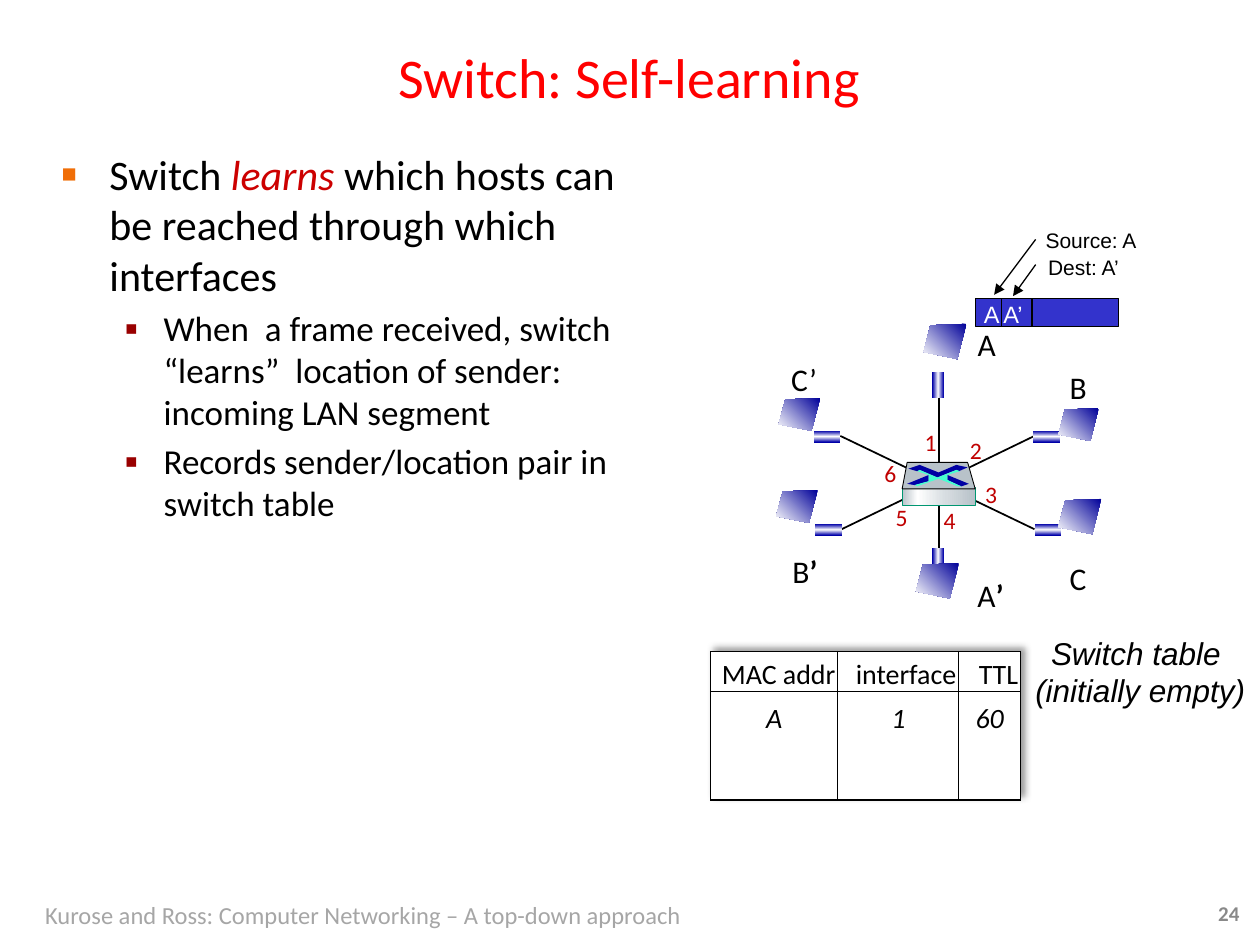
"""Build the slide on how a switch learns, on a grid of 10 columns and 7.5 rows."""
import pptx
import pptx.dml.color
import pptx.enum.shapes
import pptx.enum.text
import pptx.oxml
import pptx.oxml.ns
import pptx.util

RGB = pptx.dml.color.RGBColor
BLACK, WHITE = RGB(0, 0, 0), RGB(255, 255, 255)
RED, CRIMSON, BRICK = RGB(255, 0, 0), RGB(204, 0, 0), RGB(192, 0, 0)
ORANGE, MAROON = RGB(240, 110, 7), RGB(153, 0, 0)
GRAY, SILVER = RGB(137, 137, 137), RGB(166, 166, 166)
NAVY, COBALT, INK = RGB(0, 0, 153), RGB(0, 0, 168), RGB(0, 0, 163)
BLUE, STEEL, PALE = RGB(51, 51, 204), RGB(184, 194, 201), RGB(214, 220, 224)
AQUA, TEAL = RGB(71, 255, 209), RGB(0, 151, 113)
ALIGN = pptx.enum.text.PP_ALIGN
ANCHOR = pptx.enum.text.MSO_ANCHOR
RECT = pptx.enum.shapes.MSO_SHAPE.RECTANGLE
LINE = pptx.enum.shapes.MSO_CONNECTOR.STRAIGHT
GRID = pptx.util.Inches(1)
PLUG = [(0, COBALT), (50, WHITE), (99, COBALT)]
GLOW = [(0, NAVY), (100, WHITE)]
METAL = [(0, STEEL), (21, WHITE), (60, PALE), (100, STEEL)]


def grid(*nums):
    return [int(n * GRID) for n in nums]


def node(tag, attrs="", inner=""):
    ns = pptx.oxml.ns.nsdecls("a")
    return pptx.oxml.parse_xml(f"<a:{tag} {ns} {attrs}>{inner}</a:{tag}>")


def tint(color, inner=""):
    return f'<a:srgbClr val="{color}">{inner}</a:srgbClr>'


def add_run(para, text, size, color=BLACK, **form):
    run = para.add_run()
    run.text = text
    form = {"name": "Calibri", "size": pptx.util.Pt(size), **form}
    for key, value in form.items():
        setattr(run.font, key, value)
    run.font.color.rgb = color


def add_text(slide, box, text, size, color=BLACK, **form):
    frame = slide.shapes.add_textbox(*grid(*box)).text_frame
    frame.word_wrap = False
    add_run(frame.paragraphs[0], text, size, color, **form)
    return frame


def paint(shape, fill, line=None, width=0.75, angle=0):
    shape.shadow.inherit = False
    if isinstance(fill, list):
        stops = "".join(f'<a:gs pos="{pos * 1000}">{tint(color)}</a:gs>' for pos, color in fill)
        shape.fill.gradient()
        old = shape.fill._xPr.find(pptx.oxml.ns.qn("a:gradFill"))
        new = node("gradFill", 'rotWithShape="1"',
                   f'<a:gsLst>{stops}</a:gsLst><a:lin ang="{angle * 60000}" scaled="0"/>')
        old.getparent().replace(old, new)
    else:
        shape.fill.solid()
        shape.fill.fore_color.rgb = fill
    if line is None:
        shape.line.fill.background()
    else:
        shape.line.color.rgb = line
        shape.line.width = pptx.util.Pt(width)
    return shape


def add_rect(slide, box, fill, *line):
    return paint(slide.shapes.add_shape(RECT, *grid(*box)), fill, *line)


def add_poly(slide, points, fill, line=None, width=0.5, angle=0):
    spots = [grid(*point) for point in points]
    form = slide.shapes.build_freeform(*spots[0], scale=1.0)
    form.add_line_segments(spots[1:], close=True)
    return paint(form.convert_to_shape(), fill, line, width, angle)


def add_line(slide, ends, width=0.75, arrow=False):
    line = slide.shapes.add_connector(LINE, *grid(*ends))
    line.line.color.rgb = BLACK
    line.line.width = pptx.util.Pt(width)
    line._element.spPr.append(node("effectLst"))
    if arrow:
        line.line._get_or_add_ln().append(node("headEnd", 'type="triangle"'))


def add_screen(slide, left, top, wide, high):
    shares = [(1, 0), (0.16, 0.04), (0, 0.8), (0.79, 1)]
    points = [(left + x * wide, top + y * high) for x, y in shares]
    add_poly(slide, points, GLOW, angle=135)


def add_plug(slide, left, top, turn):
    add_rect(slide, (left, top, 0.09, 0.21), PLUG).rotation = turn


def add_item(frame, first, runs, size, hang, mark, color, share):
    para = frame.paragraphs[0] if first else frame.add_paragraph()
    props = para._p.get_or_add_pPr()
    left, dent = grid(*hang)
    props.set("marL", str(left))
    props.set("indent", str(dent))
    props.append(node("buClr", inner=tint(color)))
    props.append(node("buSzPct", f'val="{share * 1000}"'))
    props.append(node("buFont", 'typeface="Arial"'))
    props.append(node("buChar", f'char="{mark}"'))
    if not first:
        para.space_before = pptx.util.Pt(size / 5)
    for text, form in runs:
        add_run(para, text, size, **form)


def add_body(slide):
    frame = slide.shapes.add_textbox(*grid(0.39, 1.13, 4.95, 5.83)).text_frame
    frame.word_wrap = True
    lead = [("Switch ", {}), ("learns ", {"color": CRIMSON, "italic": True}),
            ("which hosts can be reached through which interfaces", {})]
    add_item(frame, True, lead, 24, (0.38, -0.38), "■", ORANGE, 60)
    for text in ("When  a frame received, switch “learns”  location of sender: incoming LAN segment",
                 "Records sender/location pair in switch table"):
        add_item(frame, False, [(text, {})], 20, (0.81, -0.31), "▪", MAROON, 110)


def add_switch(slide):
    add_rect(slide, (7.16, 3.87, 0.58, 0.14), METAL, TEAL, 0.5)
    add_poly(slide, [(7.16, 3.88), (7.2, 3.67), (7.68, 3.67), (7.74, 3.88)], STEEL, BLACK)
    add_poly(slide, [(7.59, 3.69), (7.68, 3.71), (7.61, 3.74), (7.59, 3.73), (7.44, 3.79),
                     (7.3, 3.73), (7.28, 3.74), (7.21, 3.72), (7.3, 3.69), (7.45, 3.75)], INK)
    add_poly(slide, [(7.52, 3.77), (7.69, 3.84), (7.63, 3.86), (7.52, 3.81)], INK)
    add_poly(slide, [(7.37, 3.77), (7.37, 3.82), (7.26, 3.85), (7.2, 3.84)], COBALT)
    add_poly(slide, [(7.28, 3.74), (7.3, 3.73), (7.44, 3.79), (7.59, 3.73), (7.62, 3.74),
                     (7.52, 3.77), (7.52, 3.81), (7.63, 3.86), (7.6, 3.86), (7.45, 3.8),
                     (7.28, 3.86), (7.26, 3.85), (7.37, 3.82), (7.37, 3.77)], AQUA)


def add_net(slide):
    for ends in ((7.45, 3.08, 7.45, 4.43), (6.67, 3.46, 8.21, 4.2), (6.68, 4.2, 8.21, 3.46)):
        add_line(slide, ends, 1)
    for name, left, top in (("A", 7.66, 2.53), ("A’", 7.66, 4.52), ("B", 8.39, 2.87),
                            ("B’", 6.19, 4.33), ("C", 8.39, 4.39), ("C’", 6.18, 2.81)):
        frame = add_text(slide, (left, top, 0.2 + 0.15 * len(name), 0.4), name[0], 18)
        if name[1:]:
            add_run(frame.paragraphs[0], name[1:], 18, bold=name[0] != "C")
    ports = ((7.24, 3.35), (7.6, 3.41), (7.72, 3.76), (7.39, 3.97), (7.01, 3.94), (6.92, 3.59))
    for port, spot in enumerate(ports, 1):
        add_text(slide, (*spot, 0.3, 0.33), str(port), 13.5, BRICK)
    for left, top, turn in ((6.52, 3.36, 90), (6.53, 4.1, 90), (8.26, 3.36, 90),
                            (8.27, 4.1, 90), (7.4, 2.95, 180), (7.4, 4.35, 180)):
        add_plug(slide, left, top, turn)
    add_switch(slide)
    for box in ((6.18, 3.16, 0.33, 0.26), (6.16, 3.89, 0.33, 0.26), (8.4, 3.24, 0.32, 0.26),
                (8.4, 3.96, 0.34, 0.28), (7.27, 4.47, 0.34, 0.28), (7.33, 2.57, 0.34, 0.28)):
        add_screen(slide, *box)


def add_frame(slide):
    add_rect(slide, (7.74, 2.37, 1.14, 0.22), BLUE, BLACK)
    add_text(slide, (7.71, 2.33, 0.6, 0.33), "A A’", 13.5, WHITE, name="Arial")
    for left in (7.95, 8.19):
        add_line(slide, (left, 2.37, left, 2.59))
    for ends in ((7.89, 2.34, 8.22, 1.9), (8.04, 2.35, 8.22, 2.1)):
        add_line(slide, ends, arrow=True)
    add_text(slide, (8.2, 1.76, 0.94, 0.3), "Source: A", 12, name="Arial")
    add_text(slide, (8.22, 1.97, 0.84, 0.3), "Dest: A’", 12, name="Arial")


def fill_cell(cell, text, head):
    props = cell._tc.get_or_add_tcPr()
    for side in "LRTB":
        props.append(node(f"ln{side}", 'w="9525"', f"<a:solidFill>{tint(BLACK)}</a:solidFill>"))
    cell.fill.solid()
    cell.fill.fore_color.rgb = WHITE
    left, right, top = grid(0, 0.02 if head else 0, 0 if head else 0.08)
    form = {"margin_left": left, "margin_right": right, "margin_top": top, "margin_bottom": 0,
            "vertical_anchor": ANCHOR.BOTTOM if head else ANCHOR.TOP}
    for key, value in form.items():
        setattr(cell, key, value)
    para = cell.text_frame.paragraphs[0]
    para.alignment = ALIGN.RIGHT if head else ALIGN.CENTER
    add_run(para, text, 16, italic=not head)


def add_grid(slide):
    box = (5.64, 5.17, 2.46, 1.18)
    back = add_rect(slide, box, WHITE, BLACK)
    shade = tint(BLACK, '<a:alpha val="40000"/>')
    back._element.spPr.find(pptx.oxml.ns.qn("a:effectLst")).append(
        node("outerShdw", 'blurRad="50800" dist="38100" dir="18900000"', shade))
    rows = (("MAC addr", "interface", "TTL"), ("A", "1", "60"))
    table = slide.shapes.add_table(2, 3, *grid(*box)).table
    table.first_row = table.horz_banding = False
    for col, wide in zip(table.columns, grid(1.01, 0.96, 0.49)):
        col.width = wide
    for row, high in zip(table.rows, grid(0.32, 0.86)):
        row.height = high
    for i, row in enumerate(rows):
        for j, text in enumerate(row):
            fill_cell(table.cell(i, j), text, i == 0)
    note = add_text(slide, (8.11, 4.98, 1.88, 0.71), "Switch table ", 18, name="Arial", italic=True)
    add_run(note.add_paragraph(), "(initially empty)", 18, name="Arial", italic=True)
    for para in note.paragraphs:
        para.alignment = ALIGN.CENTER


def add_title(slide):
    title = slide.shapes.title
    for key, value in zip(("left", "top", "width", "height"), grid(0.39, 0.21, 9.21, 0.79)):
        setattr(title, key, value)
    title.text_frame.vertical_anchor = ANCHOR.MIDDLE
    para = title.text_frame.paragraphs[0]
    para.alignment = ALIGN.CENTER
    add_run(para, "Switch: Self-learning", 32, RED)


def main():
    deck = pptx.Presentation()
    deck.slide_width, deck.slide_height = grid(10, 7.5)
    slide = deck.slides.add_slide(deck.slide_layouts[5])
    add_title(slide)
    add_body(slide)
    add_net(slide)
    add_frame(slide)
    add_grid(slide)
    page = add_text(slide, (9.57, 7.1, 0.4, 0.3), "24", 12, GRAY, bold=True)
    page.vertical_anchor = ANCHOR.MIDDLE
    add_text(slide, (0.26, 7.09, 5.33, 0.34),
             "Kurose and Ross: Computer Networking – A top-down approach", 14, SILVER)
    deck.save("out.pptx")


if __name__ == "__main__":
    main()
